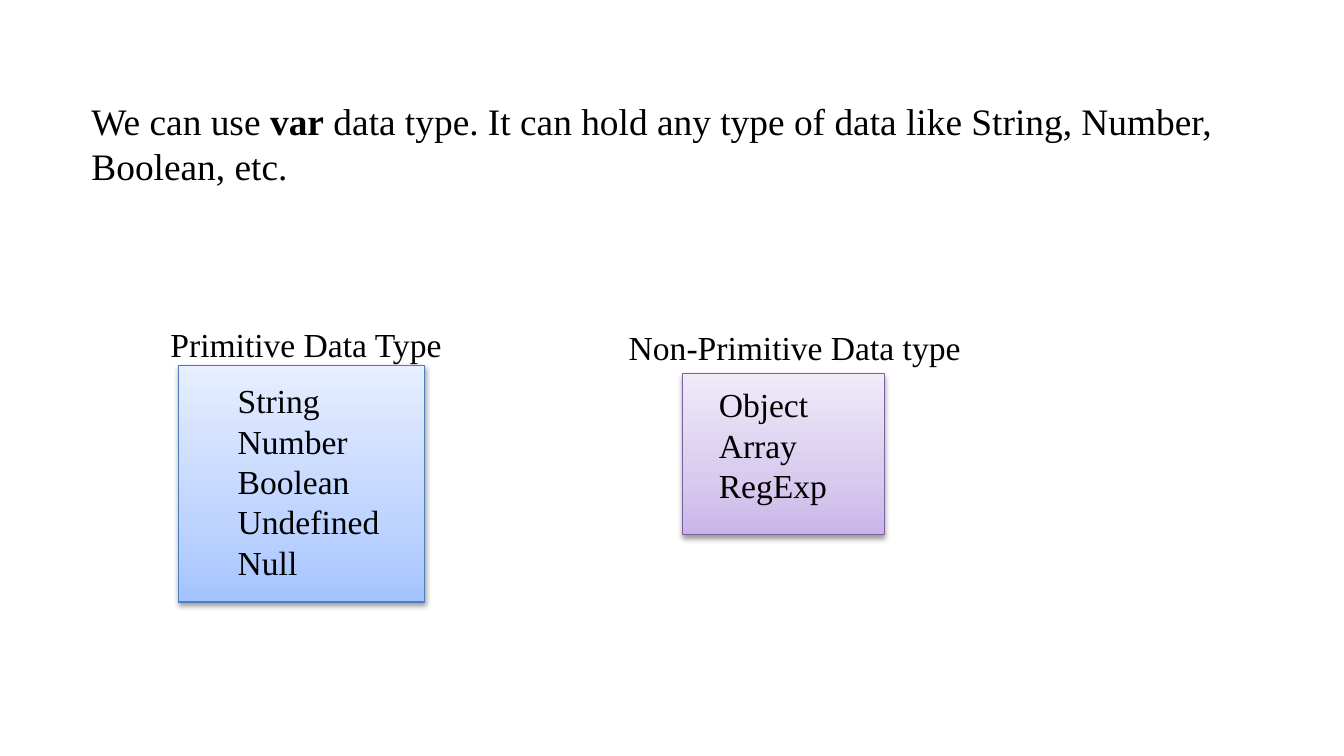
from dataclasses import dataclass

from lxml import etree
from pptx import Presentation
from pptx.dml.color import RGBColor
from pptx.enum.shapes import MSO_SHAPE
from pptx.enum.text import MSO_AUTO_SIZE
from pptx.oxml import parse_xml
from pptx.oxml.ns import nsdecls, qn
from pptx.util import Inches, Pt

RECTANGLE = MSO_SHAPE.RECTANGLE
FIT_SHAPE = MSO_AUTO_SIZE.SHAPE_TO_FIT_TEXT
TITLE_AND_CONTENT = 1


@dataclass(frozen=True)
class Theme:
    font: str = "Times New Roman"
    ink: str = "000000"
    body_size: int = 20
    list_size: int = 18
    blue: tuple = ("A4C4FF", "BFD4FF", "E6EEFF")
    blue_line: str = "4B7EBC"
    purple: tuple = ("C9B5E8", "D8CBEE", "F0EAF9")
    purple_line: str = "7D60A0"
    stops: tuple = (0, 35, 100)


THEME = Theme()


def format_runs(frame, size):
    """Apply the theme font to every run of a text frame."""
    for para in frame.paragraphs:
        for span in para.runs:
            span.font.name = THEME.font
            span.font.size = Pt(size)
            span.font.color.rgb = RGBColor.from_string(THEME.ink)


def add_panel(page, area, shades, line_color):
    """Add a rectangle with a vertical gradient and a soft shadow."""
    panel = page.shapes.add_shape(RECTANGLE, *map(Inches, area))
    panel.line.color.rgb = RGBColor.from_string(line_color)
    panel.line.width = Pt(0.75)
    panel.shadow.inherit = False

    # Gradient running from the bottom edge to the top
    stops = "".join(
        f'<a:gs pos="{stop * 1000}"><a:srgbClr val="{shade}"/></a:gs>'
        for stop, shade in zip(THEME.stops, shades))
    properties = panel._element.spPr
    properties.find(qn("a:prstGeom")).addnext(parse_xml(
        f'<a:gradFill {nsdecls("a")} rotWithShape="1"><a:gsLst>{stops}</a:gsLst>'
        '<a:lin ang="16200000" scaled="0"/></a:gradFill>'))

    # Shadow falling straight down
    shadow = etree.SubElement(
        properties.find(qn("a:effectLst")), qn("a:outerShdw"),
        blurRad=str(Pt(3.1)), dist=str(Pt(1.6)), dir="5400000", rotWithShape="0")
    color = etree.SubElement(shadow, qn("a:srgbClr"), val=THEME.ink)
    etree.SubElement(color, qn("a:alpha"), val="38000")


def add_text(page, area, lines, wrap=True):
    """Add a text box with one paragraph per line."""
    box = page.shapes.add_textbox(*map(Inches, area))
    frame = box.text_frame
    frame.word_wrap = wrap
    frame.auto_size = FIT_SHAPE
    frame.text = "\n".join(lines)
    format_runs(frame, THEME.list_size)


def fill_body(page, area, spans):
    """Place the body sentence; spans are (text, bold) pairs."""
    body = page.placeholders[1]
    body.left, body.top, body.width, body.height = map(Inches, area)
    para = body.text_frame.paragraphs[0]
    for text, bold in spans:
        span = para.add_run()
        span.text = text
        span.font.bold = bold
    format_runs(body.text_frame, THEME.body_size)

    # Plain paragraph without a bullet
    settings = para._p.get_or_add_pPr()
    settings.set("marL", "0")
    settings.set("indent", "0")
    etree.SubElement(settings, qn("a:buNone"))


def main():
    deck = Presentation()
    # Widescreen, 16 to 9
    deck.slide_width = Inches(10)
    deck.slide_height = deck.slide_width * 9 // 16
    page = deck.slides.add_slide(deck.slide_layouts[TITLE_AND_CONTENT])
    title = page.shapes.title._element
    title.getparent().remove(title)

    # Panels behind the lists
    add_panel(page, (5.08, 2.78, 1.5, 1.2), THEME.purple, THEME.purple_line)
    add_panel(page, (1.33, 2.72, 1.83, 1.76), THEME.blue, THEME.blue_line)

    # Introduction
    fill_body(page, (0.58, 0.68, 9, 1.8), [
        ("We can use ", False),
        ("var", True),
        (" data type. It can hold any type of data like "
         "String, Number, Boolean, etc.", False),
    ])

    # Members of each data type
    add_text(page, (1.67, 2.78, 1.92, 1.62),
             ["String", "Number", "Boolean", "Undefined", "Null"])
    add_text(page, (5.25, 2.81, 1.5, 1.01), ["Object", "Array", "RegExp"])

    # Headings above the panels
    add_text(page, (1.17, 2.36, 2.24, 0.4), ["Primitive Data Type"], wrap=False)
    add_text(page, (4.58, 2.38, 2.67, 0.4), ["Non-Primitive Data type"], wrap=False)

    deck.save("out.pptx")


if __name__ == "__main__":
    main()
